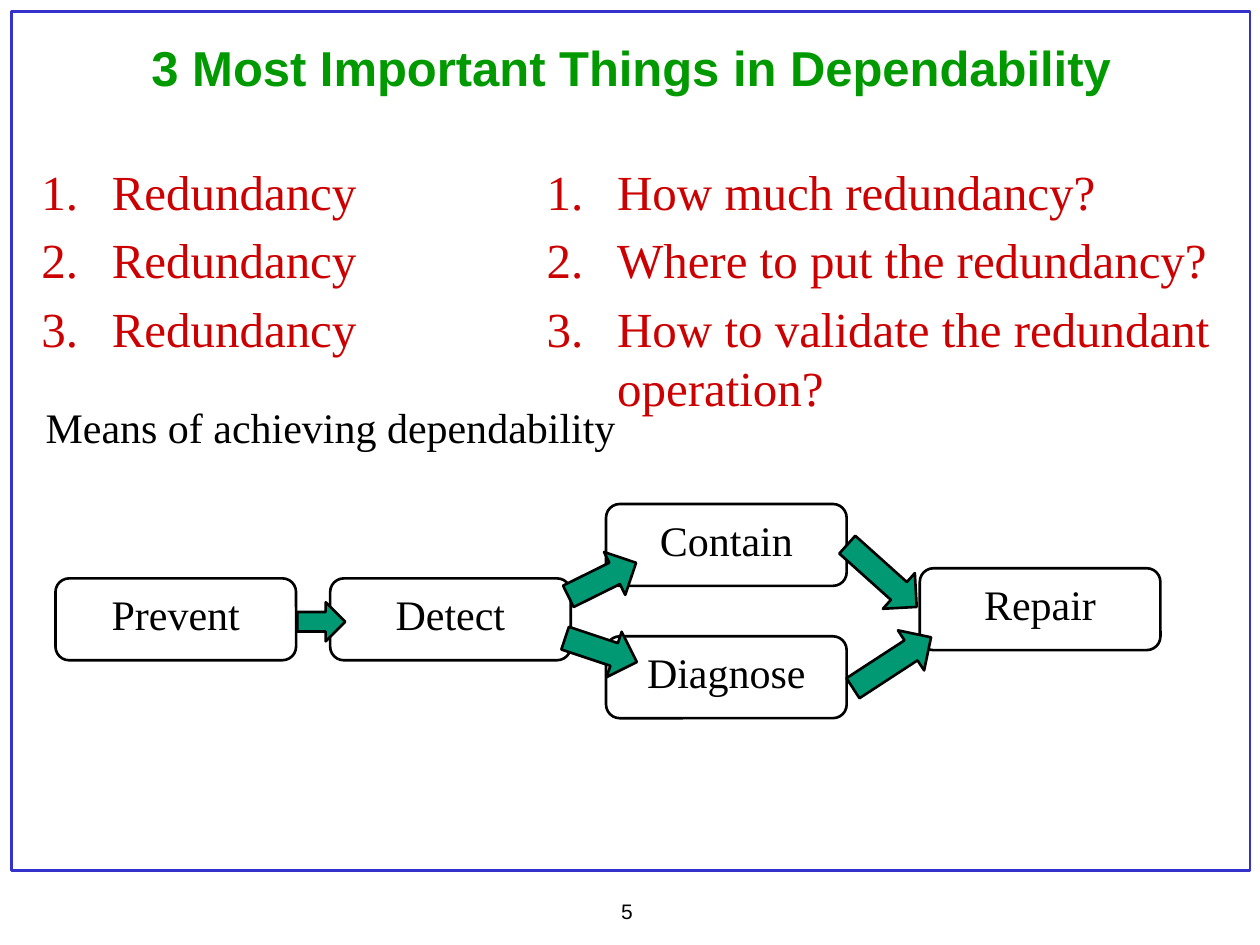
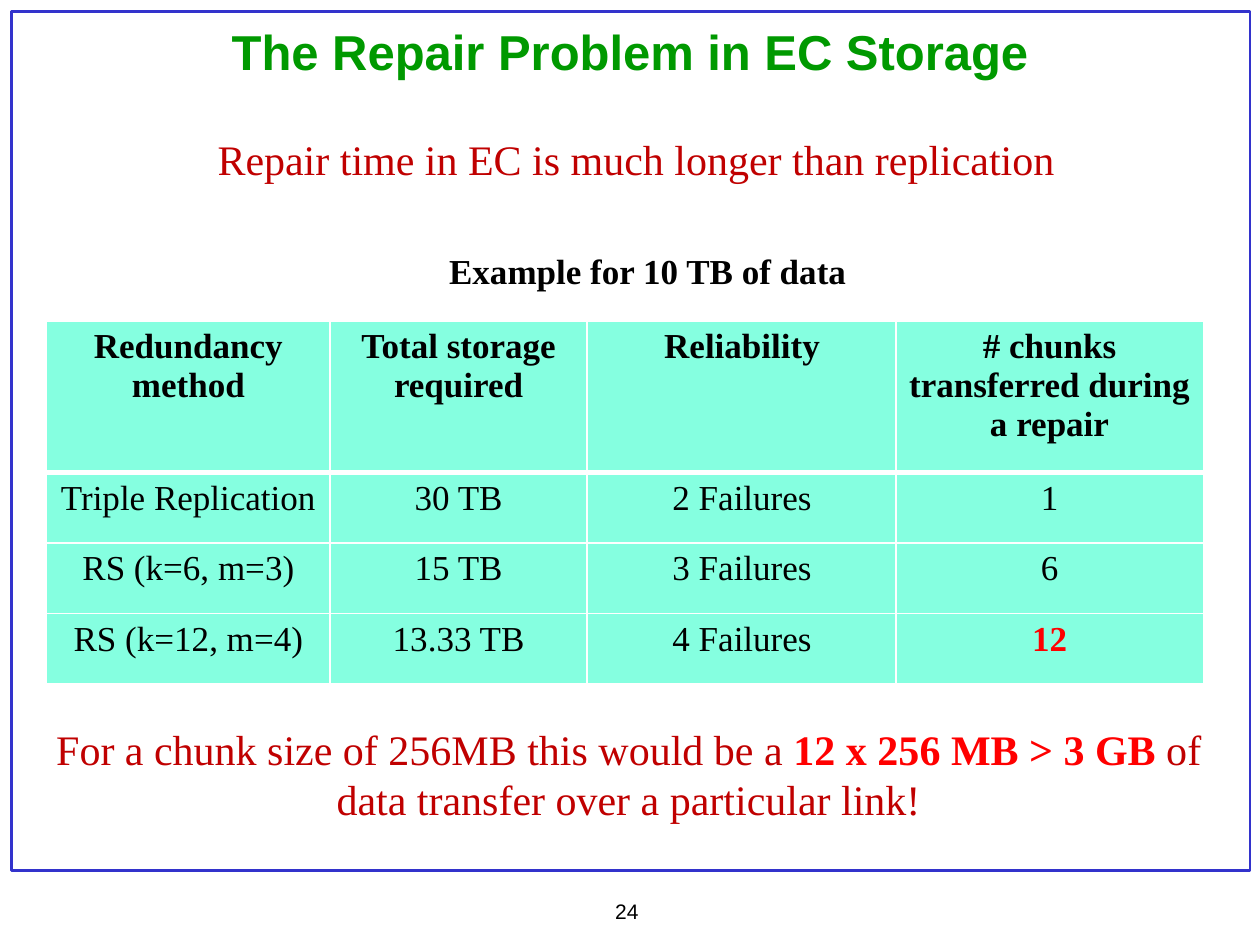
from dataclasses import dataclass

from lxml import etree
from pptx import Presentation
from pptx import util as u
from pptx.dml.color import RGBColor
from pptx.enum import shapes, text
from pptx.oxml import ns

COLORS = {"frame": "3333CC", "title": "009900", "question": "CC0000",
          "remark": "C00000", "alert": "FF0000", "ink": "000000",
          "arrow": "009973", "cell": "85FFE0", "rule": "FFFFFF"}
SERIF, SANS = "Times New Roman", "Arial"
COLUMNS, ROWS = 100, 75
UNIT = u.Inches(10) // COLUMNS
CENTER, LEFT = text.PP_ALIGN.CENTER, text.PP_ALIGN.LEFT

FORMATS = {
    "title": dict(name=SANS, size=28, bold=True, color="title"),
    "number": dict(name=SANS, size=12, bold=False, color="ink"),
    "question": dict(name=SERIF, size=28, bold=False, color="question"),
    "step": dict(name=SERIF, size=24, bold=False, color="ink"),
    "remark": dict(name=SERIF, size=24, bold=False, color="remark"),
    "alert": dict(name=SERIF, size=24, bold=True, color="alert"),
    "head": dict(name=SERIF, size=20, bold=True, color="ink"),
    "cell": dict(name=SERIF, size=20, bold=False, color="ink"),
    "cell alert": dict(name=SERIF, size=20, bold=True, color="alert"),
}


@dataclass
class Box:
    """A region measured in grid columns and rows."""
    left: float
    top: float
    width: float
    height: float

    def region(self, left, top, width, height):
        """Region placed relative to this one's corner."""
        return Box(self.left + left, self.top + top, width, height)

    def emu(self):
        return [round(n * UNIT) for n in (self.left, self.top, self.width, self.height)]


PAGE = Box(0, 0, COLUMNS, ROWS)


def rgb(color):
    return RGBColor.from_string(COLORS[color])


def add_run(paragraph, words, style):
    run = paragraph.add_run()
    run.text = words
    for key, value in FORMATS[style].items():
        if key == "color":
            run.font.color.rgb = rgb(value)
        else:
            setattr(run.font, key, u.Pt(value) if key == "size" else value)


def write(frame, runs, align=CENTER):
    paragraph = frame.paragraphs[0]
    paragraph.alignment = align
    for words, style in runs:
        add_run(paragraph, words, style)


def add_label(parent, box, *runs, **settings):
    """Centred text box; settings override the frame's defaults."""
    frame = parent.shapes.add_textbox(*box.emu()).text_frame
    defaults = dict(word_wrap=True, vertical_anchor=text.MSO_ANCHOR.TOP)
    for key, value in {**defaults, **settings}.items():
        setattr(frame, key, value)
    write(frame, runs)


def add_outlined(parent, kind, box, line, fill=None):
    shape = parent.shapes.add_shape(kind, *box.emu())
    shape.shadow.inherit = False
    if fill:
        shape.fill.solid()
        shape.fill.fore_color.rgb = rgb(fill)
    else:
        shape.fill.background()
    shape.line.color.rgb = rgb(line)
    shape.line.width = u.Pt(1.5)
    return shape


def add_page(deck, number, title, title_box):
    """Blank slide with the shared frame, page number and title."""
    slide = deck.slides.add_slide(deck.slide_layouts[6])
    add_outlined(slide, shapes.MSO_SHAPE.RECTANGLE, PAGE.region(0.9, 0.9, 98.3, 68.2), "frame")
    add_label(slide, PAGE.region(43.8, 70.8, 11.9, 3), (number, "number"))
    add_label(slide, title_box, (title, "title"), vertical_anchor=text.MSO_ANCHOR.MIDDLE)
    return slide


def add_numbered_list(slide, box, items):
    frame = slide.shapes.add_textbox(*box.emu()).text_frame
    frame.word_wrap = True
    indent = u.Inches(0.56)
    for index, item in enumerate(items):
        paragraph = frame.add_paragraph() if index else frame.paragraphs[0]
        paragraph.alignment = LEFT
        if index:
            paragraph.space_before = u.Pt(5.6)
        properties = paragraph._p.get_or_add_pPr()
        properties.set("marL", str(indent))
        properties.set("indent", str(-indent))
        etree.SubElement(properties, ns.qn("a:buFont"), typeface="+mj-lt")
        etree.SubElement(properties, ns.qn("a:buAutoNum"), type="arabicPeriod")
        add_run(paragraph, item, "question")


def add_means_diagram(slide, box):
    """Heading and flow of steps joined by block arrows."""
    group = slide.shapes.add_group_shape()
    add_label(group, box.region(0, 0, 47.7, 5), ("Means of achieving dependability", "step"),
              word_wrap=False)
    steps = {"Prevent": (2, 14.5), "Detect": (23.8, 14.5), "Contain": (45.7, 8.6),
             "Diagnose": (45.7, 19.1), "Repair": (70.6, 13.7)}
    for name, (left, top) in steps.items():
        step = add_outlined(group, shapes.MSO_SHAPE.ROUNDED_RECTANGLE,
                            box.region(left, top, 19.1, 6.5), "ink")
        step.text_frame.vertical_anchor = text.MSO_ANCHOR.TOP
        write(step.text_frame, [(name, "step")])
    arrows = [(21.2, 16.4, 3.8, 3.1, 0), (42.4, 12.7, 6, 3.8, -26.3),
              (42.3, 18.3, 6, 3.8, 18.4), (63.9, 12.4, 7.4, 3.8, 41.9),
              (64.7, 19.3, 7.4, 3.8, -33.1)]
    for *place, angle in arrows:
        arrow = add_outlined(group, shapes.MSO_SHAPE.RIGHT_ARROW, box.region(*place),
                             "ink", "arrow")
        arrow.rotation = angle


def add_border(cell, side, width):
    line = etree.SubElement(cell._tc.get_or_add_tcPr(), ns.qn(f"a:ln{side}"), w=str(u.Pt(width)))
    fill = etree.SubElement(line, ns.qn("a:solidFill"))
    etree.SubElement(fill, ns.qn("a:srgbClr"), val=COLORS["rule"])


def add_grid_table(slide, box, widths, rows, alert=None):
    """Table with a tall header row; the cell reading alert is emphasised."""
    head_height, row_height = 12, 5.6
    table = slide.shapes.add_table(len(rows), len(widths), *box.emu()).table
    for column, width in zip(table.columns, widths):
        column.width = round(width * UNIT)
    for r, values in enumerate(rows):
        table.rows[r].height = round((row_height if r else head_height) * UNIT)
        for c, value in enumerate(values):
            cell = table.cell(r, c)
            style = "cell alert" if value == alert else "cell" if r else "head"
            write(cell.text_frame, [(value, style)])
            for side in "LRTB":
                heavy = (r, side) in ((0, "B"), (1, "T"))
                add_border(cell, side, 3 if heavy else 1)
            cell.fill.solid()
            cell.fill.fore_color.rgb = rgb("cell")


def build_dependability(deck):
    slide = add_page(deck, "5", "3 Most Important Things in Dependability",
                     PAGE.region(2.4, 2.4, 95.4, 5.8))
    lists = PAGE.region(2.3, 12.3, 95.5, 55.3)
    add_numbered_list(slide, lists.region(0, 0, 31.6, 55.3), ["Redundancy"] * 3)
    add_means_diagram(slide, PAGE.region(2.4, 31.4, 90, 26))
    add_numbered_list(slide, lists.region(40.1, 0, 55.4, 55.3),
                      ["How much redundancy?", "Where to put the redundancy?",
                       "How to validate the redundant operation?"])


def build_repair_problem(deck):
    slide = add_page(deck, "24", "The Repair Problem in EC Storage",
                     PAGE.region(0, 1.2, 100, 5.7))
    add_label(slide, PAGE.region(15, 10.1, 71, 5),
              ("Repair time in EC is much longer than replication", "remark"))
    add_label(slide, PAGE.region(15, 19.3, 72.8, 4.4), ("Example for 10 TB of data", "head"))
    tables = PAGE.region(3.7, 25.5, 91.8, 28.8)
    methods = [("Redundancy method", "Total storage required", "Reliability"),
               ("Triple Replication", "30 TB", "2 Failures"),
               ("RS (k=6, m=3)", "15 TB", "3 Failures"),
               ("RS (k=12, m=4)", "13.33 TB", "4 Failures")]
    chunks = [("# chunks transferred during a repair",), ("1",), ("6",), ("12",)]
    add_grid_table(slide, tables.region(0, 0, 67.4, 28.8), (22.5, 20.4, 24.6), methods)
    add_grid_table(slide, tables.region(67.4, 0, 24.4, 28.8), (24.4,), chunks, alert="12")
    add_label(slide, PAGE.region(1.2, 56.9, 97.4, 9.1),
              ("For a chunk size of 256MB this would be a ", "remark"),
              ("12 x 256 MB > 3 GB ", "alert"),
              ("of data transfer over a particular link!", "remark"))


def main():
    deck = Presentation()
    deck.slide_width, deck.slide_height = COLUMNS * UNIT, ROWS * UNIT
    build_dependability(deck)
    build_repair_problem(deck)
    deck.save("out.pptx")


if __name__ == "__main__":
    main()
